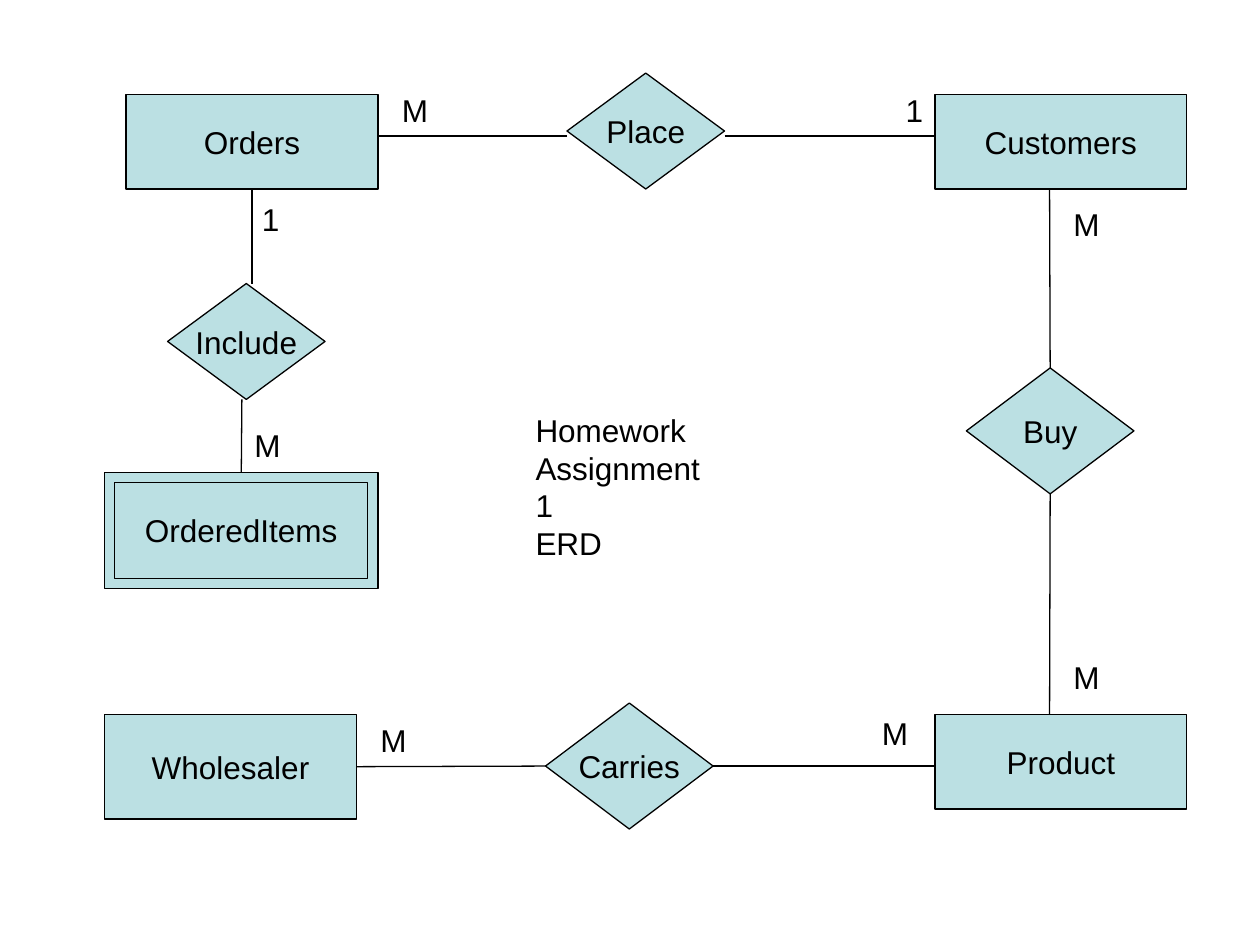
from lxml import etree
from pptx import Presentation
from pptx.dml.color import RGBColor
from pptx.enum import shapes, text
from pptx.oxml import ns
from pptx.util import Inches, Pt

COLORS = {"fill": "BBE0E3", "ink": "000000"}
TOP, LEFT, BOTTOM, RIGHT = range(4)


def color(name):
    return RGBColor.from_string(COLORS[name])


def inches(values):
    return [Inches(v) for v in values]


def write(s, content, size=18, font="Arial", ink="ink",
          align=text.PP_ALIGN.LEFT, anchor=text.MSO_ANCHOR.TOP,
          fit=text.MSO_AUTO_SIZE.NONE):
    tf = s.text_frame
    tf.word_wrap = False
    tf.auto_size = fit
    tf.vertical_anchor = anchor
    for i, line in enumerate(content.split("\n")):
        p = tf.paragraphs[0] if i == 0 else tf.add_paragraph()
        p.alignment = align
        p.space_before = Pt(0)
        r = p.add_run()
        r.text = line
        r.font.size = Pt(size)
        r.font.name = font
        r.font.color.rgb = color(ink)


def node(slide, kind, box, name=""):
    s = slide.shapes.add_shape(kind, *inches(box))
    s.shadow.inherit = False
    s.fill.solid()
    s.fill.fore_color.rgb = color("fill")
    s.line.color.rgb = color("ink")
    s.line.width = Pt(0.75)
    if name:
        write(s, name, align=text.PP_ALIGN.CENTER, anchor=text.MSO_ANCHOR.MIDDLE)
    return s


def entity(slide, box, name=""):
    return node(slide, shapes.MSO_SHAPE.RECTANGLE, box, name)


def relationship(slide, box, name):
    return node(slide, shapes.MSO_SHAPE.FLOWCHART_DECISION, box, name)


def weak_entity(slide, box, name, gap=0.08):
    left, top, width, height = box
    outer = entity(slide, box)
    entity(slide, (left + gap, top + gap, width - 2 * gap, height - 2 * gap), name)
    return outer


def link(slide, start, end, begin_at=None, end_at=None):
    c = slide.shapes.add_connector(shapes.MSO_CONNECTOR.STRAIGHT,
                                   *inches(start + end))
    c.line.color.rgb = color("ink")
    c.line.width = Pt(0.75)
    etree.SubElement(c.element.spPr, ns.qn("a:effectLst"))
    if begin_at:
        c.begin_connect(*begin_at)
    if end_at:
        c.end_connect(*end_at)


def cardinality(slide, at, mark):
    width = 0.34 if mark == "1" else 0.41
    s = slide.shapes.add_textbox(*inches(at + (width, 0.4)))
    write(s, mark, fit=text.MSO_AUTO_SIZE.SHAPE_TO_FIT_TEXT)


def heading(slide, box, content):
    s = slide.shapes.title
    s.left, s.top, s.width, s.height = inches(box)
    write(s, content)


def main():
    prs = Presentation()
    prs.slide_width, prs.slide_height = Inches(10), Inches(7.5)
    slide = prs.slides.add_slide(prs.slide_layouts[5])

    heading(slide, (4.15, 3.21, 1.71, 1), "Homework\nAssignment 1\nERD")

    orders = entity(slide, (1, 0.75, 2, 0.75), "Orders")
    entity(slide, (7.42, 0.75, 2, 0.75), "Customers")
    wholesaler = entity(slide, (0.83, 5.67, 2, 0.83), "Wholesaler")
    entity(slide, (7.42, 5.67, 2, 0.75), "Product")
    items = weak_entity(slide, (0.83, 3.75, 2.17, 0.92), "OrderedItems")

    relationship(slide, (4.5, 0.58, 1.25, 0.92), "Place")
    relationship(slide, (1.33, 2.25, 1.25, 0.92), "Include")
    buy = relationship(slide, (7.67, 2.92, 1.33, 1), "Buy")
    carries = relationship(slide, (4.33, 5.58, 1.33, 1), "Carries")

    link(slide, (4.5, 1.08), (3, 1.08))
    link(slide, (5.75, 1.08), (7.42, 1.08))
    link(slide, (2, 1.5), (2, 2.25), begin_at=(orders, BOTTOM))
    link(slide, (1.92, 3.17), (1.92, 3.75), end_at=(items, TOP))
    link(slide, (8.33, 2.92), (8.33, 1.5), begin_at=(buy, TOP))
    link(slide, (8.33, 3.92), (8.33, 5.67), begin_at=(buy, BOTTOM))
    link(slide, (2.83, 6.08), (4.33, 6.08), (wholesaler, RIGHT), (carries, LEFT))
    link(slide, (5.67, 6.08), (7.42, 6.08), begin_at=(carries, RIGHT))

    for at, mark in [
        ((3.09, 0.67), "M"), ((7.09, 0.67), "1"),
        ((1.98, 1.54), "1"), ((1.92, 3.33), "M"),
        ((8.42, 1.58), "M"), ((8.42, 5.17), "M"),
        ((2.92, 5.67), "M"), ((6.9, 5.62), "M"),
    ]:
        cardinality(slide, at, mark)

    prs.save("out.pptx")


if __name__ == "__main__":
    main()
